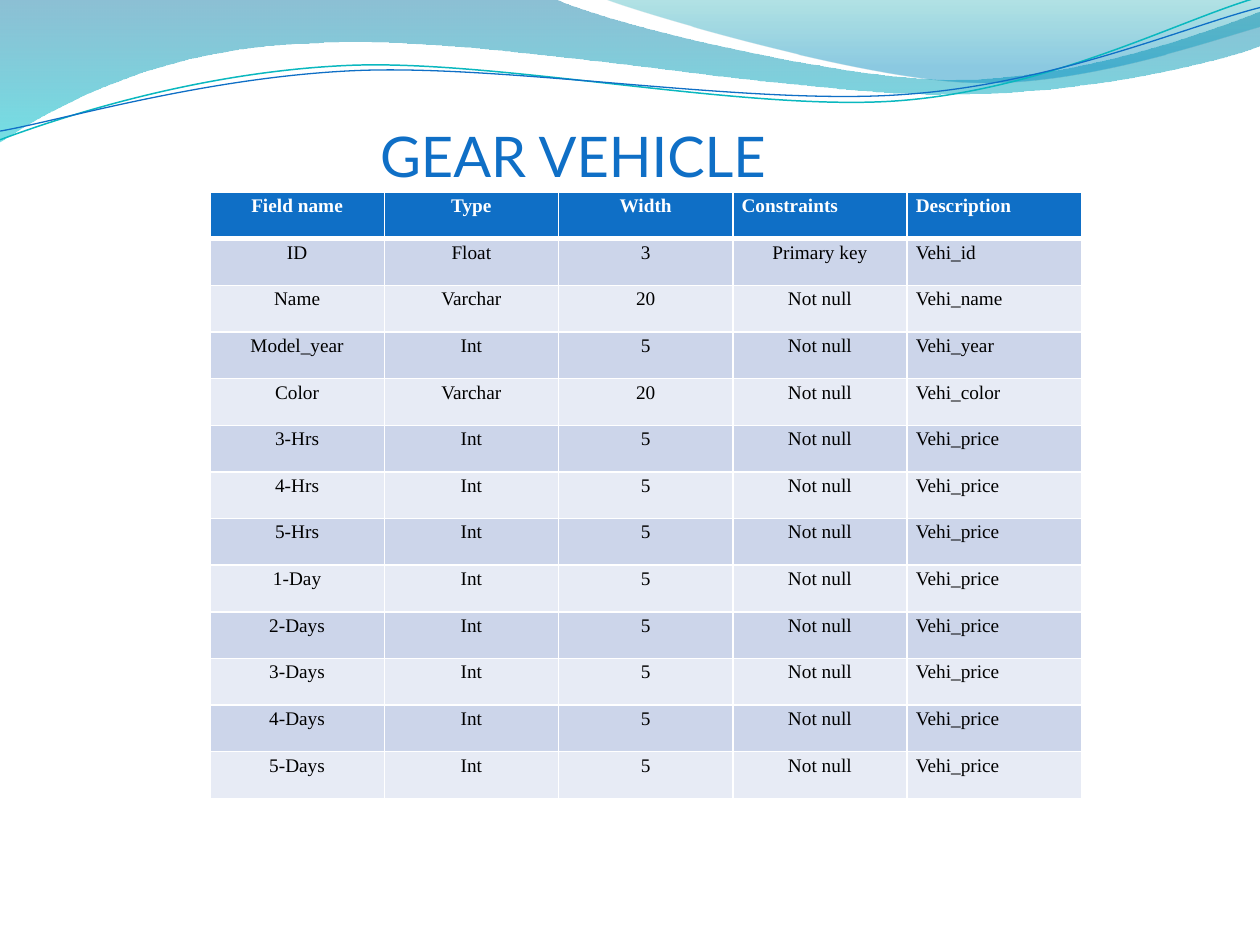
from lxml import etree
from pptx import Presentation
from pptx import util as u
from pptx.dml import color
from pptx.enum import text
from pptx.oxml import ns

COLORS = {
    "blue": "0F6FC6", "teal": "0AB8BF", "white": "FFFFFF", "black": "000000",
    "band_dark": "CCD5EA", "band_light": "E7EBF5",
    "wave_top": "0074A1", "wave_bottom": "00C6CF",
    "crest_top": "00A1A9", "crest_bottom": "008BBF",
}

LEFT_WAVE = [
    (0, 0), (316.8, -0.7),
    (342.7, 12.2, 478.1, 45.4, 545.8, 45.4), (614.2, 45.4, 689.8, 18.7, 720, 6.5),
    (720.7, 25.9),
    (707.8, 31.7, 626.4, 54.7, 537.1, 54), (447.8, 54, 275, 20.2, 185, 24.5),
    (92.9, 25.9, 33.1, 59.8, -0.7, 81.4),
]
RIGHT_CREST = [
    (344.9, -0.7),
    (366.5, 7.9, 491, 44.6, 553.7, 46.8), (616.3, 49.7, 691.9, 23, 720, 15.1),
    (720, 0),
]
TEAL_LINE = [
    (0, 79.9), (34.6, 67, 113.8, 41, 199.4, 37.4),
    (284.4, 33.8, 427, 64.1, 513.4, 57.6), (599.8, 51.1, 675.4, 10.8, 718.6, -1.4),
]
BLUE_LINE = [
    (0, 74.9), (33.8, 69.1, 118.1, 43.9, 203.8, 40.3),
    (290.2, 36.7, 429.8, 60.5, 516.2, 54), (601.9, 48.2, 677.5, 15.1, 720, 4.3),
]

PRICED_PERIODS = ["3-Hrs", "4-Hrs", "5-Hrs", "1-Day", "2-Days", "3-Days", "4-Days", "5-Days"]
FIELDS = [
    ("Field name", "Type", "Width", "Constraints", "Description"),
    ("ID", "Float", "3", "Primary key", "Vehi_id"),
    ("Name", "Varchar", "20", "Not null", "Vehi_name"),
    ("Model_year", "Int", "5", "Not null", "Vehi_year"),
    ("Color", "Varchar", "20", "Not null", "Vehi_color"),
] + [(period, "Int", "5", "Not null", "Vehi_price") for period in PRICED_PERIODS]


def rgb(name):
    return color.RGBColor.from_string(COLORS[name])


class SlideBuilder:
    title_font = "Lato"
    table_font = "Times New Roman"

    def __init__(self, presentation):
        self.slide = presentation.slides.add_slide(presentation.slide_layouts[5])

    def outline(self, segments, close):
        anchors = [(u.Pt(segment[-2]), u.Pt(segment[-1])) for segment in segments]
        builder = self.slide.shapes.build_freeform(*anchors[0], scale=1.0)
        builder.add_line_segments(anchors[1:], close=close)
        shape = builder.convert_to_shape()
        shape.shadow.inherit = False
        lines = list(shape._element.spPr.iter(ns.qn("a:lnTo")))
        for line, segment in zip(lines, segments[1:]):
            if len(segment) == 6:
                self.bend(shape, line, segment)
        return shape

    def bend(self, shape, line, segment):
        curve = etree.Element(ns.qn("a:cubicBezTo"))
        for x, y in zip(segment[::2], segment[1::2]):
            etree.SubElement(curve, ns.qn("a:pt"),
                             x=str(u.Pt(x) - shape.left), y=str(u.Pt(y) - shape.top))
        line.getparent().replace(line, curve)

    def wave(self, segments, stops):
        shape = self.outline(segments, True)
        shape.line.fill.background()
        shape.fill.gradient()
        shape.fill.gradient_angle = 270
        for stop, (position, name, _) in zip(shape.fill.gradient_stops, stops):
            stop.position = position
            stop.color.rgb = rgb(name)
        elements = shape._element.spPr.iter(ns.qn("a:srgbClr"))
        for element, (_, _, opacity) in zip(elements, stops):
            etree.SubElement(element, ns.qn("a:alpha"), val=str(opacity * 1000))

    def curve(self, segments, name, width):
        shape = self.outline(segments, False)
        shape.fill.background()
        shape.line.color.rgb = rgb(name)
        shape.line.width = u.Pt(width)

    def title(self, words, left, top, width, height, indent):
        shape = self.slide.shapes.title
        shape.left, shape.top = u.Pt(left), u.Pt(top)
        shape.width, shape.height = u.Pt(width), u.Pt(height)
        frame = shape.text_frame
        frame.text = words
        frame.auto_size = text.MSO_AUTO_SIZE.NONE
        frame.vertical_anchor = text.MSO_ANCHOR.TOP
        frame.margin_left = u.Pt(indent)
        paragraph = frame.paragraphs[0]
        paragraph.alignment = text.PP_ALIGN.LEFT
        self.style(paragraph, self.title_font, 32, "blue", False)

    def style(self, paragraph, font_name, size, name, bold):
        for run in paragraph.runs:
            run.font.name = font_name
            run.font.size = u.Pt(size)
            run.font.bold = bold
            run.font.color.rgb = rgb(name)

    def borders(self, cell, bottom):
        properties = cell._tc.get_or_add_tcPr()
        for side, width in (("L", 1), ("R", 1), ("T", 1), ("B", bottom)):
            line = etree.SubElement(properties, ns.qn(f"a:ln{side}"), w=str(u.Pt(width)))
            fill = etree.SubElement(line, ns.qn("a:solidFill"))
            etree.SubElement(fill, ns.qn("a:srgbClr"), val=COLORS["white"])

    def table(self, records, left, top, column_width, row_height):
        rows, columns = len(records), len(records[0])
        table = self.slide.shapes.add_table(
            rows, columns, u.Pt(left), u.Pt(top),
            u.Pt(column_width * columns), u.Pt(row_height * rows)).table
        for column in table.columns:
            column.width = u.Pt(column_width)
        for row_index, record in enumerate(records):
            table.rows[row_index].height = u.Pt(row_height)
            for column_index, words in enumerate(record):
                self.cell(table.cell(row_index, column_index), words, row_index, column_index)

    def cell(self, cell, words, row, column):
        header = row == 0
        cell.text = words
        cell.margin_left = cell.margin_right = u.Pt(5)
        cell.margin_top = cell.margin_bottom = u.Pt(0)
        self.borders(cell, 3 if header else 1)
        cell.fill.solid()
        band = "band_dark" if row % 2 else "band_light"
        cell.fill.fore_color.rgb = rgb("blue" if header else band)
        paragraph = cell.text_frame.paragraphs[0]
        left_aligned = column == 4 or (header and column == 3)
        paragraph.alignment = text.PP_ALIGN.LEFT if left_aligned else text.PP_ALIGN.CENTER
        paragraph.line_spacing = 1.15
        self.style(paragraph, self.table_font, 11, "white" if header else "black", header)


def main():
    presentation = Presentation()
    presentation.slide_width, presentation.slide_height = u.Pt(720), u.Pt(540)
    builder = SlideBuilder(presentation)
    builder.wave(LEFT_WAVE, [(0, "wave_top", 45), (1, "wave_bottom", 55)])
    builder.wave(RIGHT_CREST, [(0, "crest_top", 30), (0.8, "crest_bottom", 45)])
    builder.curve(TEAL_LINE, "teal", 0.85)
    builder.curve(BLUE_LINE, "blue", 0.75)
    builder.table(FIELDS, 120, 109.8, 99.6, 26.65)
    builder.title("GEAR VEHICLE", 0, 65.6, 738, 36, 217.2)
    presentation.save("out.pptx")


if __name__ == "__main__":
    main()
